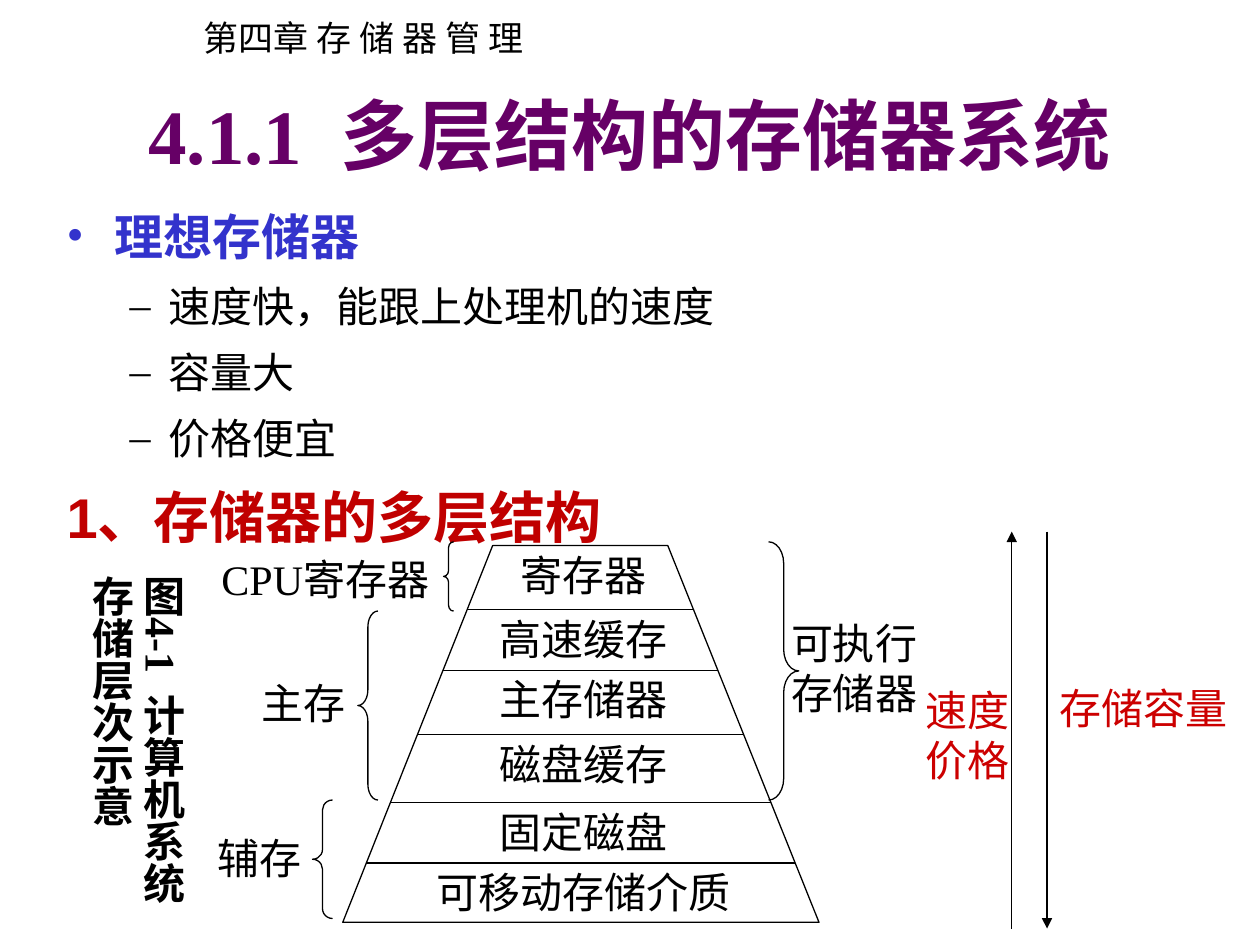
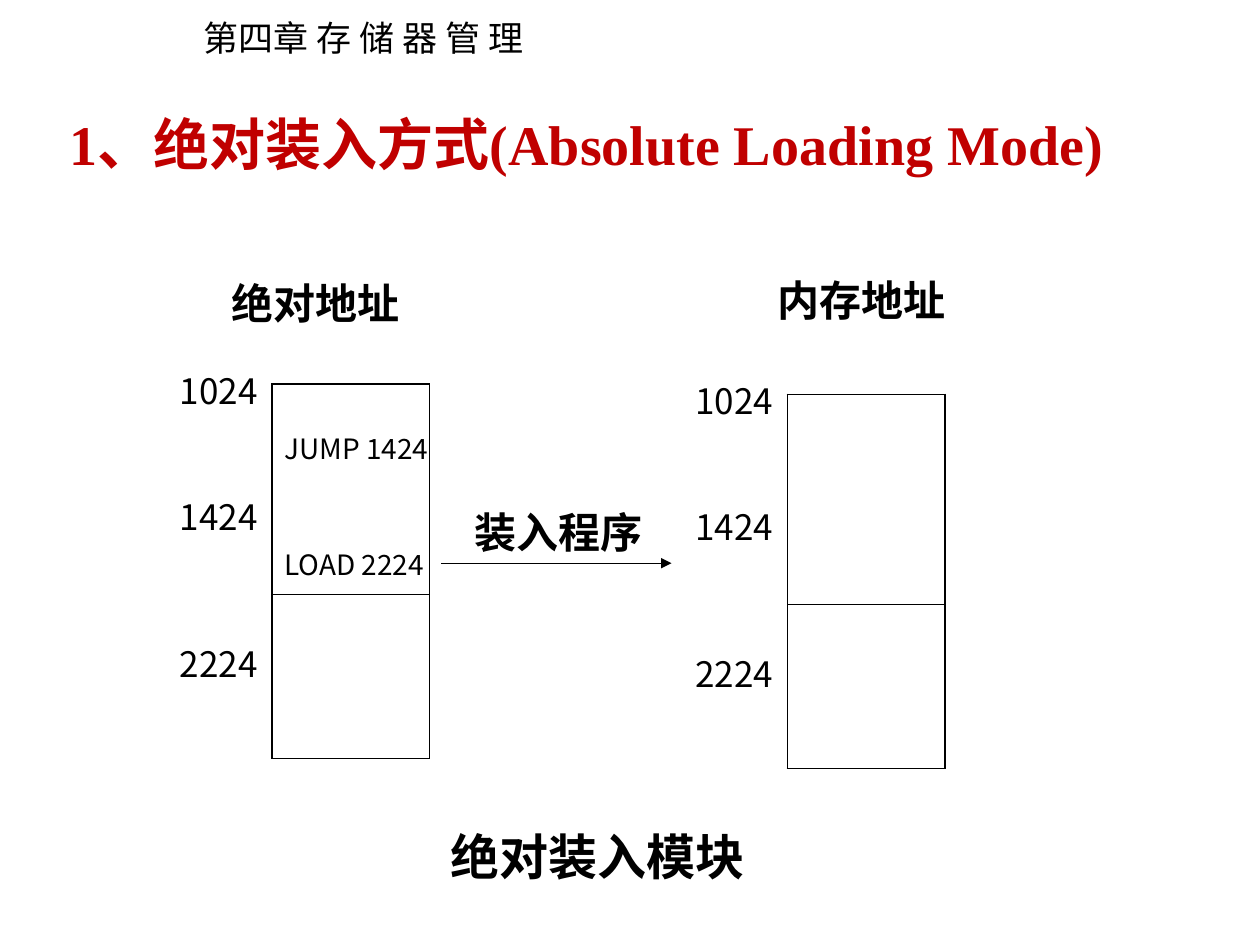
from lxml import etree
from pptx import Presentation
from pptx.dml.color import RGBColor
from pptx.enum.shapes import MSO_CONNECTOR, MSO_SHAPE
from pptx.enum.text import MSO_ANCHOR, MSO_AUTO_SIZE, PP_ALIGN
from pptx.oxml.ns import qn
from pptx.util import Inches, Pt

STRAIGHT = MSO_CONNECTOR.STRAIGHT
LEFT_BRACE, RIGHT_BRACE = MSO_SHAPE.LEFT_BRACE, MSO_SHAPE.RIGHT_BRACE
LEFT, CENTER = PP_ALIGN.LEFT, PP_ALIGN.CENTER
TOP, MIDDLE = MSO_ANCHOR.TOP, MSO_ANCHOR.MIDDLE
NO_AUTOSIZE = MSO_AUTO_SIZE.NONE

BLACK = RGBColor(0x00, 0x00, 0x00)
BLUE = RGBColor(0x33, 0x33, 0xCC)
PURPLE = RGBColor(0x66, 0x00, 0x66)
CRIMSON = RGBColor(0xC0, 0x00, 0x00)
RED = RGBColor(0xCC, 0x00, 0x00)
SERIF, SANS, CJK = "Times New Roman", "Arial", "Noto Sans CJK SC"
THIN = 0.75

CHAPTER = "第四章 存 储 器 管 理"

HEADING = dict(size=28, color=BLUE, bold=True, bullet="•", margin=0.38, hang=0.38,
               spacing=1.1)
POINT = dict(size=24, bullet="–", margin=0.81, hang=0.31, spacing=1.1, before=6)
SECTION = dict(size=32, font=SANS, color=CRIMSON, bold=True, spacing=1.3)
OUTLINE = [
    ("理想存储器", HEADING),
    ("速度快，能跟上处理机的速度", POINT),
    ("容量大", POINT),
    ("价格便宜", POINT),
    ("1、存储器的多层结构", SECTION),
]

PYRAMID_TOP, PYRAMID_BOTTOM = 4.33, 7.32
TOP_EDGES, BOTTOM_EDGES = (3.91, 5.3), (2.72, 6.5)
LEVELS = [
    ("寄存器", 4.84), ("高速缓存", 5.32), ("主存储器", 5.83),
    ("磁盘缓存", 6.37), ("固定磁盘", 6.85), ("可移动存储介质", PYRAMID_BOTTOM),
]
BRACES = [
    (LEFT_BRACE, (3.52, 4.3, 0.08, 0.55)),
    (LEFT_BRACE, (2.84, 4.85, 0.16, 1.5)),
    (LEFT_BRACE, (2.48, 6.35, 0.16, 0.94)),
    (RIGHT_BRACE, (6.1, 4.3, 0.24, 2.05)),
]
PYRAMID_LABELS = [
    (["CPU寄存器"], (1.66, 4.34, 1.93, 0.5), {}),
    (["主存"], (1.98, 5.33, 0.86, 0.5), {}),
    (["辅存"], (1.63, 6.56, 0.86, 0.5), {}),
    (["可执行存储器"], (6.18, 4.85, 1.34, 0.9), dict(wrap=True)),
    (["速度", "价格"], (7.25, 5.38, 0.86, 0.9), dict(color=RED)),
    (["存储容量"], (8.31, 5.37, 1.53, 0.5), dict(color=RED)),
    (["图4-1  计算机系统", "存储层次示意"], (0.14, 4.47, 1.4, 2.87),
     dict(bold=True, vertical=True)),
]
TREND_ARROWS = [((8.03, 7.37), (8.03, 4.22)), ((8.31, 4.22), (8.31, 7.37))]

BLOCK_WIDTH, BLOCK_HEIGHT, DIVIDER = 1.25, 2.97, 1.67
ADDRESSES = [("1024", -0.17), ("1424", 0.83), ("2224", 2.0)]
MEMORY_BLOCKS = [
    dict(at=(2.16, 3.05), heading="绝对地址", heading_at=(1.74, 2.15),
         code=[("JUMP 1424", 0.33), ("LOAD 2224", 1.25)]),
    dict(at=(6.25, 3.13), heading="内存地址", heading_at=(6.07, 2.13), code=[]),
]


def inches(values):
    return [Inches(value) for value in values]


def add_child(parent, tag, **attributes):
    return etree.SubElement(parent, qn(tag), attributes)


def write_paragraph(para, text, size=24, font=SERIF, color=BLACK, bold=False, align=LEFT,
                    bullet=None, margin=0, hang=0, spacing=None, before=0):
    if bullet:
        properties = para._p.get_or_add_pPr()
        properties.set("marL", str(Inches(margin)))
        properties.set("indent", str(-Inches(hang)))
        add_child(properties, "a:buFont", typeface=font)
        add_child(properties, "a:buChar", char=bullet)
    para.alignment = align
    para.space_before = Pt(before)
    if spacing:
        para.line_spacing = spacing
    span = para.add_run()
    span.text = text
    span.font.size, span.font.bold = Pt(size), bold
    span.font.name = font
    span.font.color.rgb = color
    add_child(span._r.get_or_add_rPr(), "a:ea", typeface=CJK)


def fill_frame(shape, items, wrap=False, anchor=TOP, vertical=False):
    frame = shape.text_frame
    frame.word_wrap, frame.auto_size = wrap, NO_AUTOSIZE
    frame.vertical_anchor = anchor
    across, down = (0.05, 0.1) if vertical else (0.1, 0.05)
    frame.margin_left = frame.margin_right = Inches(across)
    frame.margin_top = frame.margin_bottom = Inches(down)
    if vertical:
        frame._txBody.bodyPr.set("vert", "eaVert")
    for index, (text, style) in enumerate(items):
        para = frame.add_paragraph() if index else frame.paragraphs[0]
        write_paragraph(para, text, **style)


def add_text(page, lines, place, wrap=False, vertical=False, **style):
    box = page.shapes.add_textbox(*inches(place))
    fill_frame(box, [(line, style) for line in lines], wrap=wrap, vertical=vertical)


def add_line(page, start, end, arrow=False):
    line = page.shapes.add_connector(STRAIGHT, *inches(start + end))
    line.line.color.rgb, line.line.width = BLACK, Pt(THIN)
    if arrow:
        add_child(line.line._get_or_add_ln(), "a:tailEnd", type="triangle")
    add_child(line._element.spPr, "a:effectLst")


def style_outline(shape):
    shape.shadow.inherit = False
    shape.fill.background()
    shape.line.color.rgb, shape.line.width = BLACK, Pt(THIN)


def add_brace(page, kind, place):
    brace = page.shapes.add_shape(kind, *inches(place))
    brace.adjustments[0] = place[3] / 12 / place[2]
    style_outline(brace)


def add_page(deck, title, place, anchor=TOP, **style):
    page = deck.slides.add_slide(deck.slide_layouts[5])
    heading = page.shapes.title
    heading.left, heading.top, heading.width, heading.height = inches(place)
    fill_frame(heading, [(title, dict(bold=True, **style))], anchor=anchor)
    add_text(page, [CHAPTER], (1.52, 0.08, 2.8, 0.44), size=20, font=CJK)
    return page


def add_pyramid(page):
    corners = [(TOP_EDGES[0], PYRAMID_TOP), (TOP_EDGES[1], PYRAMID_TOP),
               (BOTTOM_EDGES[1], PYRAMID_BOTTOM), (BOTTOM_EDGES[0], PYRAMID_BOTTOM)]
    points = [tuple(inches(corner)) for corner in corners]
    builder = page.shapes.build_freeform(*points[0])
    builder.add_line_segments(points[1:], close=True)
    style_outline(builder.convert_to_shape())

    level_top = PYRAMID_TOP
    for name, level_bottom in LEVELS:
        add_text(page, [name], (3.33, level_top - 0.02, 2.6, 0.5), wrap=True, align=CENTER)
        if level_bottom < PYRAMID_BOTTOM:
            share = (level_bottom - PYRAMID_TOP) / (PYRAMID_BOTTOM - PYRAMID_TOP)
            left, right = [upper + share * (lower - upper)
                           for upper, lower in zip(TOP_EDGES, BOTTOM_EDGES)]
            add_line(page, (left, level_bottom), (right, level_bottom))
        level_top = level_bottom


def add_memory_block(page, at, heading, heading_at, code):
    left, top = at
    table = page.shapes.add_table(
        1, 1, *inches((left, top, BLOCK_WIDTH, BLOCK_HEIGHT))).table
    table.first_row = table.horz_banding = False
    cell = table.cell(0, 0)
    properties = cell._tc.get_or_add_tcPr()
    for side in ("a:lnL", "a:lnR", "a:lnT", "a:lnB"):
        border = add_child(properties, side, w=str(Pt(1.08)))
        add_child(add_child(border, "a:solidFill"), "a:srgbClr", val=str(BLACK))
    cell.fill.background()

    middle = top + DIVIDER
    add_line(page, (left, middle), (left + BLOCK_WIDTH, middle))
    add_text(page, [heading], heading_at + (2.2, 0.5), font=CJK, bold=True)
    for address, offset in ADDRESSES:
        add_text(page, [address], (left - 0.83, top + offset, 0.92, 0.44),
                 size=20, font=CJK, wrap=True)
    for instruction, offset in code:
        add_text(page, [instruction], (left, top + offset, 1.75, 0.37),
                 size=16, font=CJK, wrap=True)


def build_hierarchy_page(deck):
    page = add_page(deck, "4.1.1  多层结构的存储器系统", (0.75, 0.44, 8.5, 1.25),
                    anchor=MIDDLE, size=44, color=PURPLE, align=CENTER)
    outline = page.shapes.add_textbox(*inches((0.43, 1.54, 9.29, 5.59)))
    fill_frame(outline, OUTLINE, wrap=True)
    add_pyramid(page)
    for kind, place in BRACES:
        add_brace(page, kind, place)
    for start, end in TREND_ARROWS:
        add_line(page, start, end, arrow=True)
    for lines, place, style in PYRAMID_LABELS:
        add_text(page, lines, place, **style)


def build_loading_page(deck):
    page = add_page(deck, "1、绝对装入方式(Absolute Loading Mode)",
                    (0.45, 0.82, 8.73, 0.64), size=32, color=CRIMSON)
    for block in MEMORY_BLOCKS:
        add_memory_block(page, **block)
    add_line(page, (3.5, 4.47), (5.33, 4.47), arrow=True)
    add_text(page, ["装入程序"], (3.67, 3.97, 1.75, 0.5), font=CJK, bold=True, wrap=True)
    add_text(page, ["绝对装入模块"], (3.48, 6.51, 2.68, 0.57),
             size=28, font=CJK, bold=True, wrap=True)


def main():
    deck = Presentation()
    deck.slide_width, deck.slide_height = inches((10, 7.5))
    build_hierarchy_page(deck)
    build_loading_page(deck)
    deck.save("out.pptx")


if __name__ == "__main__":
    main()
